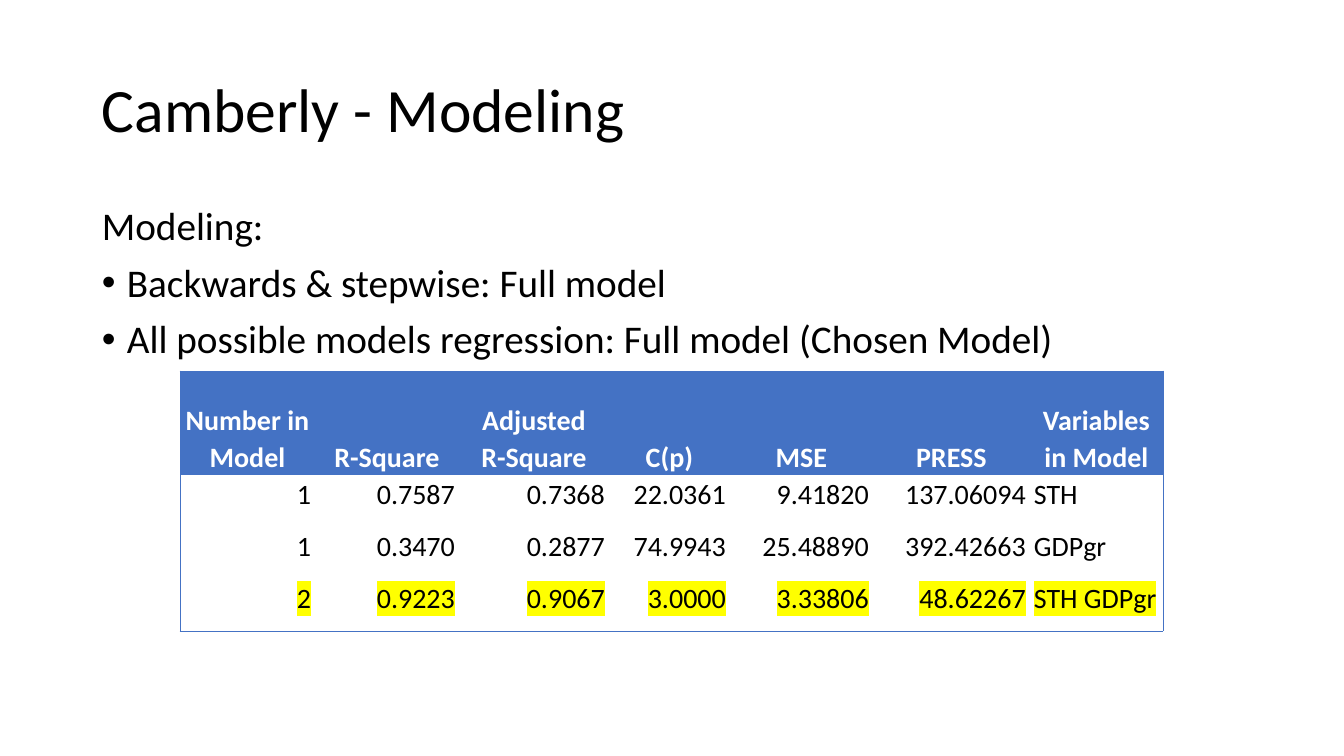
import pptx
import pptx.dml.color
import pptx.enum.text
import pptx.oxml
import pptx.oxml.ns
import pptx.util
from lxml import etree

PX = 9144000 / 1008  # EMU in one px
THEME = {
    "font": "Calibri",
    "text": "000000", "header_text": "FFFFFF",
    "blue": "4472C4", "white": "FFFFFF", "highlight": "FFFF00",
    "title": 44, "body": 28, "table": 20,
}
NO_TABLE_STYLE = "{2D5ABB26-0587-4C30-8999-92F81FD0307C}"
ALIGN = pptx.enum.text.PP_ALIGN
ANCHOR = pptx.enum.text.MSO_ANCHOR
qn = pptx.oxml.ns.qn
rgb = pptx.dml.color.RGBColor.from_string


def px(length):
    return pptx.util.Emu(round(length * PX))


def add_span(para, text, size, color="text", bold=False, highlight=False):
    span = para.add_run()
    span.text = text
    span.font.size = pptx.util.Pt(THEME[size])
    span.font.bold = bold
    span.font.color.rgb = rgb(THEME[color])
    if highlight:
        mark = etree.SubElement(span.font._element, qn("a:highlight"))
        etree.SubElement(mark, qn("a:srgbClr"), val=THEME["highlight"])
    span.font.name = THEME["font"]


deck = pptx.Presentation()
deck.slide_width, deck.slide_height = px(1344), px(756)
page = deck.slides.add_slide(deck.slide_layouts[6])

# Title
title = page.shapes.add_textbox(px(92), px(40), px(1159), px(146)).text_frame
title.word_wrap = True
title.vertical_anchor = ANCHOR.MIDDLE
title.paragraphs[0].line_spacing = 0.9
add_span(title.paragraphs[0], "Camberly - Modeling", "title")

# Body: a lead line and two bullets
body = page.shapes.add_textbox(px(92), px(202), px(1159), px(480)).text_frame
body.word_wrap = True
lines = [
    "Modeling:",
    "Backwards & stepwise: Full model",
    "All possible models regression: Full model (Chosen Model)",
]
for index, line in enumerate(lines):
    para = body.add_paragraph() if index else body.paragraphs[0]
    para.line_spacing = 0.9
    if index:
        para.space_before = pptx.util.Pt(10)
        properties = para._p.get_or_add_pPr()
        properties.set("marL", str(px(25)))
        properties.set("indent", str(px(-25)))
        etree.SubElement(properties, qn("a:buFont"), typeface="Arial")
        etree.SubElement(properties, qn("a:buChar"), char="•")
    add_span(para, line, "body")

# Table of candidate models
rows = [
    ["Number in\nModel", "R-Square", "Adjusted\nR-Square", "C(p)", "MSE", "PRESS", "Variables in Model"],
    ["1", "0.7587", "0.7368", "22.0361", "9.41820", "137.06094", "STH"],
    ["1", "0.3470", "0.2877", "74.9943", "25.48890", "392.42663", "GDPgr"],
    ["2", "0.9223", "0.9067", "3.0000", "3.33806", "48.62267", "STH GDPgr"],
]
widths = [135, 144, 150, 121, 143, 157, 133]
heights = [104, 52, 52, 52]
last_row, last_column = len(rows) - 1, len(widths) - 1
frame = page.shapes.add_table(len(rows), len(widths), px(180), px(371), px(sum(widths)), px(sum(heights)))
models = frame.table
models.horz_banding = False
next(frame.element.iter(qn("a:tableStyleId"))).text = NO_TABLE_STYLE
for column, width in zip(models.columns, widths):
    column.width = px(width)
for row, height in zip(models.rows, heights):
    row.height = px(height)

for r, values in enumerate(rows):
    header = r == 0
    for c, value in enumerate(values):
        cell = models.cell(r, c)
        cell.margin_left = cell.margin_right = px(4)
        cell.margin_top = cell.margin_bottom = 0
        cell.vertical_anchor = ANCHOR.BOTTOM if header else ANCHOR.TOP

        # Thin frame on the outer edges only
        edges = {"lnL": c == 0, "lnR": c == last_column, "lnT": header, "lnB": r == last_row}
        for edge, outer in edges.items():
            if outer:
                border = etree.SubElement(cell._tc.get_or_add_tcPr(), qn("a:" + edge), w="6350")
                paint = etree.SubElement(border, qn("a:solidFill"))
                etree.SubElement(paint, qn("a:srgbClr"), val=THEME["blue"])
        cell.fill.solid()
        cell.fill.fore_color.rgb = rgb(THEME["blue" if header else "white"])

        # Cell text
        para = cell.text_frame.paragraphs[0]
        para.line_spacing = 1.07
        para.space_after = pptx.util.Pt(3)
        if header:
            para.alignment = ALIGN.CENTER
        else:
            para.alignment = ALIGN.LEFT if c == last_column else ALIGN.RIGHT
        for part, text in enumerate(value.split("\n")):
            if part:
                para.add_line_break()
            add_span(para, text, "table", "header_text" if header else "text", header, r == last_row)

deck.save("out.pptx")
